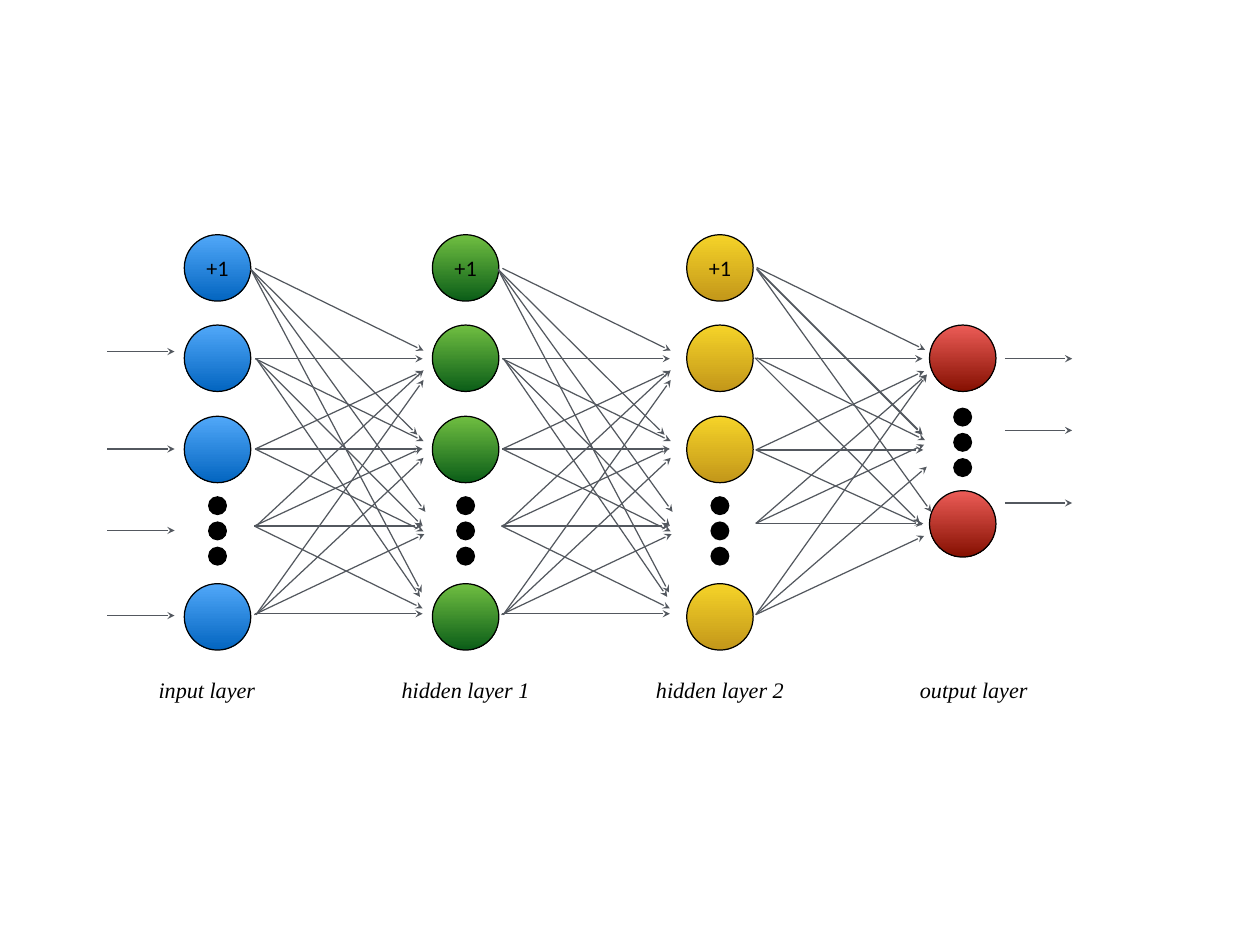
from dataclasses import dataclass

from lxml import etree
from pptx import Presentation
from pptx import util as u
from pptx.dml.color import RGBColor
from pptx.enum import shapes, text
from pptx.oxml import ns


@dataclass(frozen=True)
class Theme:
    ink: str = "000000"
    arrow: str = "53585F"
    input: tuple = ("51A8F9", "0365C0")
    hidden_1: tuple = ("70BF41", "0B5D18")
    hidden_2: tuple = ("F5D328", "C3971A")
    output: tuple = ("EC5C57", "851001")
    bias_font: str = "Calibri"
    label_font: str = "Times New Roman"
    size: int = 18
    stroke: int = 1


THEME = Theme()
NODE = 0.75
DOT = 0.2
DOT_PITCH = 0.285
FULL_ROWS = (0, 1.02, 2.05, 3.94)
OUTPUT_ROWS = (0, 1.87)
LAYER_TOP = 2.65
OUTPUT_TOP = 3.67
LABEL_TOP = 7.55

HIDDEN_FAN = {
    (0.8, 0.38): [(2.7, 1.31)],
    (0.75, 0.39): [(2.63, 2.26), (2.72, 3.13), (2.68, 4.04)],
    (0.8, 1.4): [(2.7, 2.33), (2.69, 1.4)],
    (0.82, 1.41): [(2.69, 3.29), (2.66, 4.09)],
    (0.8, 2.42): [(2.69, 2.42), (2.69, 1.54), (2.7, 3.35)],
    (0.79, 3.29): [(2.68, 3.29), (2.68, 2.41), (2.69, 4.22)],
    (0.81, 3.29): [(2.7, 1.53)],
    (0.8, 4.28): [(2.69, 4.28)],
    (0.79, 4.29): [(2.71, 3.38)],
    (0.81, 4.29): [(2.7, 2.52), (2.7, 1.64)],
}
OUTPUT_FAN = {
    (0.79, 0.37): [(2.69, 1.3)],
    (0.79, 0.38): [(2.66, 2.25)],
    (0.79, 0.39): [(2.66, 2.26), (2.76, 3.13)],
    (0.77, 1.4): [(2.66, 1.4)],
    (0.79, 1.39): [(2.69, 2.32)],
    (0.77, 1.39): [(2.63, 3.25)],
    (0.78, 2.43): [(2.67, 2.43), (2.68, 1.54), (2.66, 3.28)],
    (0.78, 3.26): [(2.67, 3.26), (2.68, 2.37), (2.71, 1.58)],
    (0.78, 4.29): [(2.71, 1.58), (2.68, 3.4), (2.71, 2.62)],
}


def write(shape, words, font, size=THEME.size, color=THEME.ink, italic=False):
    frame = shape.text_frame
    frame.word_wrap = True
    frame.vertical_anchor = text.MSO_ANCHOR.MIDDLE
    frame.margin_left = frame.margin_right = u.Inches(0.06)
    frame.margin_top = frame.margin_bottom = u.Inches(0.06)
    paragraph = frame.paragraphs[0]
    paragraph.alignment = text.PP_ALIGN.CENTER
    run = paragraph.add_run()
    run.text = words
    run.font.name = font
    run.font.size = u.Pt(size)
    run.font.italic = italic
    run.font.color.rgb = RGBColor.from_string(color)


def add_circle(slide, left, top, diameter, colors):
    circle = slide.shapes.add_shape(
        shapes.MSO_SHAPE.OVAL,
        u.Inches(left), u.Inches(top), u.Inches(diameter), u.Inches(diameter))
    circle.shadow.inherit = False
    circle.line.color.rgb = RGBColor.from_string(THEME.ink)
    circle.line.width = u.Pt(THEME.stroke)
    if len(colors) == 1:
        circle.fill.solid()
        circle.fill.fore_color.rgb = RGBColor.from_string(colors[0])
    else:
        circle.fill.gradient()
        circle.fill.gradient_angle = 270
        for stop, color in zip(circle.fill.gradient_stops, colors):
            stop.color.rgb = RGBColor.from_string(color)
    return circle


def add_arrow(slide, start, end):
    arrow = slide.shapes.add_connector(
        shapes.MSO_CONNECTOR.STRAIGHT, *(u.Inches(v) for v in (*start, *end)))
    arrow.line.color.rgb = RGBColor.from_string(THEME.arrow)
    arrow.line.width = u.Pt(THEME.stroke)
    etree.SubElement(arrow.line._get_or_add_ln(), ns.qn("a:tailEnd"), type="stealth")
    etree.SubElement(arrow._element.spPr, ns.qn("a:effectLst"))


def add_layer(slide, left, top, rows, dots_top, colors, bias=True):
    for row in rows:
        node = add_circle(slide, left, top + row, NODE, colors)
        if bias and row == 0:
            write(node, "+1", THEME.bias_font)
    for i in range(3):
        add_circle(slide, left + (NODE - DOT) / 2,
                   top + dots_top + i * DOT_PITCH, DOT, (THEME.ink,))


def add_fan(slide, left, top, fan):
    for (x, y), ends in fan.items():
        for end_x, end_y in ends:
            add_arrow(slide, (left + x, top + y), (left + end_x, top + end_y))


def add_signals(slide, left, heights, length=0.76):
    for y in heights:
        add_arrow(slide, (left, y), (left + length, y))


def add_label(slide, left, top, width, words):
    label = slide.shapes.add_textbox(
        u.Inches(left), u.Inches(top), u.Inches(width), u.Inches(0.47))
    write(label, words, THEME.label_font, italic=True)


def main():
    deck = Presentation()
    deck.slide_width = u.Inches(14.22)
    deck.slide_height = u.Inches(10.67)
    slide = deck.slides.add_slide(deck.slide_layouts[6])

    for left, colors in ((2.08, THEME.input), (4.88, THEME.hidden_1),
                         (7.75, THEME.hidden_2)):
        add_layer(slide, left, LAYER_TOP, FULL_ROWS, 2.96, colors)
    add_layer(slide, 10.49, OUTPUT_TOP, OUTPUT_ROWS, 0.94, THEME.output, bias=False)

    for left, fan in ((2.08, HIDDEN_FAN), (4.87, HIDDEN_FAN), (7.75, OUTPUT_FAN)):
        add_fan(slide, left, LAYER_TOP, fan)

    add_signals(slide, 1.21, (3.97, 5.07, 5.99, 6.95))
    add_signals(slide, 11.34, (4.05, 4.86, 5.68))

    for left, width, words in ((1.61, 1.45, "input layer"),
                               (4.43, 1.65, "hidden layer 1"),
                               (7.3, 1.65, "hidden layer 2"),
                               (10.19, 1.6, "output layer")):
        add_label(slide, left, LABEL_TOP, width, words)

    deck.save("out.pptx")


if __name__ == "__main__":
    main()
